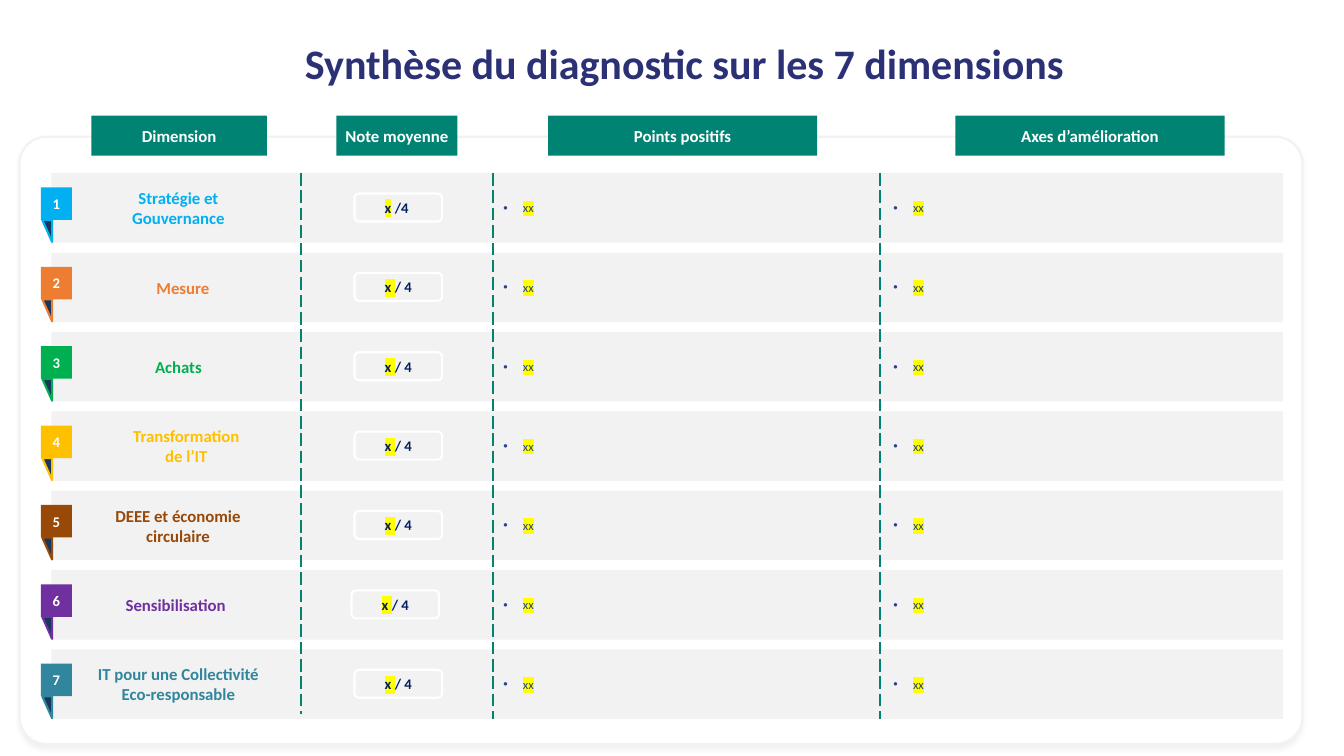
from dataclasses import dataclass

from lxml.etree import SubElement
from pptx import Presentation
from pptx.dml.color import RGBColor
from pptx.enum.dml import MSO_LINE
from pptx.enum.shapes import MSO_CONNECTOR, MSO_SHAPE
from pptx.enum.text import MSO_ANCHOR, PP_ALIGN
from pptx.oxml.ns import qn
from pptx.util import Inches, Pt

TITLE = "Synthèse du diagnostic sur les 7 dimensions"

# heading, left, width
HEADINGS = [
    ("Dimension", 1.21, 2.32),
    ("Note moyenne", 4.45, 1.6),
    ("Points positifs", 7.25, 3.56),
    ("Axes d’amélioration", 12.64, 3.56),
]

# name, colour, label left, label width, score left, score (highlighted, plain)
DIMENSIONS = [
    ("Stratégie et Gouvernance", "00B0F0", 1.1, 2.52, 4.69, ("x", " /4 ")),
    ("Mesure", "ED7D31", 1.67, 1.5, 4.69, ("x ", "/ 4")),
    ("Achats", "00B050", 1.0, 2.72, 4.69, ("x ", "/ 4")),
    ("Transformation de l’IT", "FFC000", 1.55, 1.83, 4.69, ("x ", "/ 4")),
    ("DEEE et économie circulaire", "984807", 1.06, 2.59, 4.69, ("x ", "/ 4")),
    ("Sensibilisation", "7030A0", 1.46, 1.73, 4.65, ("x ", "/ 4")),
    ("IT pour une Collectivité Eco-responsable", "31859C", 1.1, 2.52, 4.69, ("x ", "/ 4")),
]
COMMENT = "xx"
COMMENT_COLUMNS = [(6.56, 5.0), (11.72, 5.12)]  # left, width
DIVIDERS = [(3.98, 9.44), (6.52, 9.51), (11.64, 9.51)]  # x, bottom

BAND_LEFT, BAND_TOP, BAND_WIDTH, BAND_HEIGHT, BAND_STEP = 0.68, 2.29, 16.29, 0.92, 1.05


@dataclass(frozen=True)
class Theme:
    font: str = "Calibri"
    title: str = "2C3176"
    accent: str = "008373"
    white: str = "FFFFFF"
    band: str = "F2F2F2"
    fold: str = "17375E"
    score: str = "002060"
    comment: str = "294289"
    highlight: str = "FFFF00"
    title_size: int = 40
    heading_size: int = 16
    small_size: int = 14
    comment_size: int = 12


THEME = Theme()


def add_block(page, kind, left, top, width, height, fill, line=None):
    shape = page.shapes.add_shape(
        kind, Inches(left), Inches(top), Inches(width), Inches(height))
    shape.shadow.inherit = False
    shape.fill.solid()
    shape.fill.fore_color.rgb = RGBColor.from_string(fill)
    if line:
        shape.line.color.rgb = RGBColor.from_string(line)
        shape.line.width = Pt(2)
    else:
        shape.line.fill.background()
    return shape


def add_box(page, left, top, width, height):
    return page.shapes.add_textbox(
        Inches(left), Inches(top), Inches(width), Inches(height))


def write(shape, spans, size, color, bold=True, align=PP_ALIGN.CENTER, bullet=False):
    """Fill the shape with one paragraph; spans are (text, highlighted) pairs."""
    frame = shape.text_frame
    frame.word_wrap = True
    frame.vertical_anchor = MSO_ANCHOR.MIDDLE
    para = frame.paragraphs[0]
    para.alignment = align
    if bullet:
        properties = para._p.get_or_add_pPr()
        properties.set("marL", str(Inches(0.26)))
        properties.set("indent", str(-Inches(0.26)))
        SubElement(properties, qn("a:buFont"), typeface="Arial")
        SubElement(properties, qn("a:buChar"), char="•")
    para.font.name = THEME.font
    para.font.size = Pt(size)
    para.font.bold = bold
    para.font.color.rgb = RGBColor.from_string(color)
    for text, highlighted in spans:
        span = para.add_run()
        span.text = text
        if highlighted:
            mark = SubElement(span._r.get_or_add_rPr(), qn("a:highlight"))
            SubElement(mark, qn("a:srgbClr"), val=THEME.highlight)


def add_panel(page):
    panel = add_block(page, MSO_SHAPE.ROUNDED_RECTANGLE, 0.26, 1.81, 16.97, 8.03,
                      THEME.white, THEME.band)
    panel.adjustments[0] = 0.044
    effects = panel._element.spPr.find(qn("a:effectLst"))
    shadow = SubElement(effects, qn("a:outerShdw"), blurRad=str(Pt(4)),
                        dist=str(Pt(3)), dir="5400000", algn="t", rotWithShape="0")
    tint = SubElement(shadow, qn("a:srgbClr"), val="000000")
    SubElement(tint, qn("a:alpha"), val="6000")


def add_ribbon(page, number, top, color):
    fold = add_block(page, MSO_SHAPE.ISOSCELES_TRIANGLE, 0.48, top + 0.7, 0.29, 0.13,
                     THEME.fold, color)
    fold.adjustments[0] = 1
    fold.rotation = 270
    badge = add_block(page, MSO_SHAPE.RECTANGLE, 0.54, top + 0.19, 0.41, 0.43, color)
    write(badge, [(str(number), False)], THEME.small_size, THEME.white)


def add_dimension(page, index, dimension):
    name, color, label_left, label_width, score_left, (mark, scale) = dimension
    top = BAND_TOP + index * BAND_STEP
    add_block(page, MSO_SHAPE.RECTANGLE, BAND_LEFT, top, BAND_WIDTH, BAND_HEIGHT, THEME.band)
    add_ribbon(page, index + 1, top, color)

    label = add_box(page, label_left, top, label_width, BAND_HEIGHT)
    write(label, [(name, False)], THEME.heading_size, color)

    score = add_block(page, MSO_SHAPE.ROUNDED_RECTANGLE, score_left, top + 0.27, 1.16, 0.37,
                      THEME.band, THEME.white)
    write(score, [(mark, True), (scale, False)], THEME.small_size, THEME.score)

    for left, width in COMMENT_COLUMNS:
        comment = add_box(page, left, top + 0.07, width, 0.78)
        write(comment, [(COMMENT, True)], THEME.comment_size, THEME.comment,
              bold=False, align=PP_ALIGN.JUSTIFY, bullet=True)


def add_divider(page, x, bottom):
    divider = page.shapes.add_connector(
        MSO_CONNECTOR.STRAIGHT, Inches(x), Inches(BAND_TOP), Inches(x), Inches(bottom))
    divider.line.color.rgb = RGBColor.from_string(THEME.accent)
    divider.line.width = Pt(1.5)
    divider.line.dash_style = MSO_LINE.LONG_DASH
    SubElement(divider._element.spPr, qn("a:effectLst"))


def main():
    deck = Presentation()
    deck.slide_width, deck.slide_height = Inches(17.78), Inches(10)
    page = deck.slides.add_slide(deck.slide_layouts[6])

    add_panel(page)
    title = add_box(page, 2.24, 0.5, 13.63, 0.67)
    frame = title.text_frame
    frame.margin_left = frame.margin_right = frame.margin_top = frame.margin_bottom = 0
    write(title, [(TITLE, False)], THEME.title_size, THEME.title)

    for heading, left, width in HEADINGS:
        header = add_block(page, MSO_SHAPE.RECTANGLE, left, 1.53, width, 0.53, THEME.accent)
        write(header, [(heading, False)], THEME.heading_size, THEME.white)
    for index, dimension in enumerate(DIMENSIONS):
        add_dimension(page, index, dimension)
    for x, bottom in DIVIDERS:
        add_divider(page, x, bottom)

    deck.save("out.pptx")


if __name__ == "__main__":
    main()
